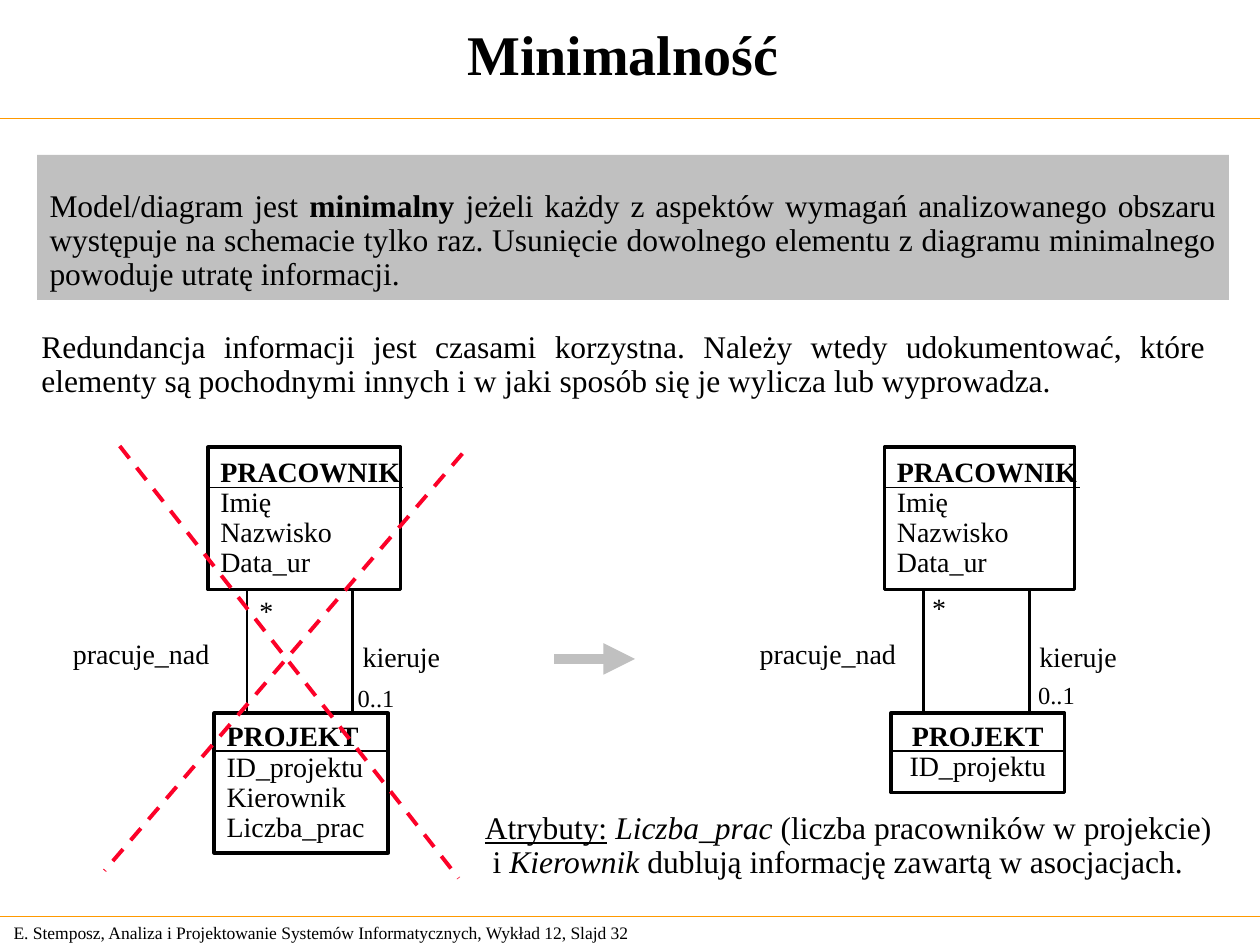
from pptx import Presentation
from pptx.dml.color import RGBColor
from pptx.enum.dml import MSO_LINE
from pptx.enum.shapes import MSO_CONNECTOR, MSO_SHAPE
from pptx.enum.text import MSO_ANCHOR as ANCHOR, PP_ALIGN as ALIGN
from pptx.oxml.ns import qn
from pptx.util import Inches, Pt
from lxml.etree import SubElement

# Grid of 100 columns by 75 rows
COLS, ROWS = 100, 75
CELL = Inches(0.1)
FONT = "Times New Roman"
BLACK = RGBColor(0x00, 0x00, 0x00)
GRAY = RGBColor(0xC0, 0xC0, 0xC0)
ORANGE = RGBColor(0xFF, 0x99, 0x00)
RED = RGBColor(0xFC, 0x01, 0x28)

FOOTER = "E. Stemposz, Analiza i Projektowanie Systemów Informatycznych, Wykład 12, Slajd 32"
DEFINITION = [[
    ("Model/diagram jest ", ""), ("minimalny ", "b"),
    ("jeżeli każdy z aspektów wymagań analizowanego obszaru występuje na "
     "schemacie tylko raz. Usunięcie dowolnego elementu z diagramu "
     "minimalnego powoduje utratę informacji.", "")]]
REDUNDANCY = ("Redundancja informacji jest czasami korzystna. Należy wtedy "
              "udokumentować, które elementy są pochodnymi innych i w jaki "
              "sposób się je wylicza lub wyprowadza.")
REMARK = [
    [("Atrybuty:", "u"), (" ", ""), ("Liczba_prac", "i"),
     (" (liczba pracowników w projekcie)", "")],
    [(" i ", ""), ("Kierownik", "i"),
     (" dublują informację zawartą w asocjacjach.", "")]]


def grid(*cells):
    return [round(c * CELL) for c in cells]


def write(sp, paragraphs, size, align=ALIGN.LEFT, spacing=None,
          anchor=ANCHOR.TOP, wrap=False):
    """Fill a shape with paragraphs, each a list of (text, style letters)."""
    tf = sp.text_frame
    tf.word_wrap = wrap
    tf.vertical_anchor = anchor
    for i, runs in enumerate(paragraphs):
        p = tf.add_paragraph() if i else tf.paragraphs[0]
        p.alignment = align
        p.line_spacing = spacing
        for text, style in runs:
            r = p.add_run()
            r.text = text
            r.font.name = FONT
            r.font.size = Pt(size)
            r.font.color.rgb = BLACK
            r.font.bold = "b" in style
            r.font.italic = "i" in style
            r.font.underline = "u" in style


def add_text(s, box, text, size, style="", **layout):
    paragraphs = [[(text, style)]] if isinstance(text, str) else text
    write(s.shapes.add_textbox(*grid(*box)), paragraphs, size, **layout)


def add_rect(s, box, fill=None, line=None):
    sp = s.shapes.add_shape(MSO_SHAPE.RECTANGLE, *grid(*box))
    sp.shadow.inherit = False
    if fill is None:
        sp.fill.background()
    else:
        sp.fill.solid()
        sp.fill.fore_color.rgb = fill
    if line is None:
        sp.line.fill.background()
    else:
        sp.line.color.rgb = line
        sp.line.width = Pt(2)
    return sp


def add_line(s, x1, y1, x2, y2, color=BLACK, width=1, dashed=False, arrow=False):
    cn = s.shapes.add_connector(MSO_CONNECTOR.STRAIGHT, *grid(x1, y1, x2, y2))
    cn.line.color.rgb = color
    cn.line.width = Pt(width)
    if dashed:
        cn.line.dash_style = MSO_LINE.DASH
    if arrow:
        SubElement(cn.line._get_or_add_ln(), qn("a:tailEnd"), type="triangle")
    SubElement(cn._element.spPr, qn("a:effectLst"))


def add_class(s, box, rule, name, attributes, align=ALIGN.LEFT):
    """A class box; rule is the (left, right, row) of the line under its name."""
    sp = add_rect(s, box, line=BLACK)
    write(sp, [[(name, "b")]] + [[(a, "")] for a in attributes], 16,
          align=align, spacing=0.9, anchor=ANCHOR.MIDDLE)
    left, right, row = rule
    add_line(s, left, row, right, row)


def add_diagram(s, x, width, project, height, works_on, star, limit,
                align=ALIGN.LEFT):
    """Two classes joined by two associations, x being the left edge."""
    add_class(s, (x, 35.5, width, 11.3), (x, x + 15.5, 38.7),
              "PRACOWNIK", ["Imię", "Nazwisko", "Data_ur"])
    add_class(s, (x + 0.5, 56.6, 13.8, height), (x + 0.5, x + 14.3, 59.6),
              "PROJEKT", project, align)
    for dx in (3.1, 11.5):
        add_line(s, x + dx, 46.9, x + dx, 56.7, width=1.5)
    add_text(s, (works_on, 50, 13.2, 3.7), "pracuje_nad", 16)
    add_text(s, (x + 11.3, 50.3, 9.5, 3.7), "kieruje", 16)
    add_text(s, (*star, 3.1, 3.7), "*", 16)
    add_text(s, (*limit, 5.2, 3.4), "0..1", 14)


def main():
    prs = Presentation()
    prs.slide_width, prs.slide_height = grid(COLS, ROWS)
    s = prs.slides.add_slide(prs.slide_layouts[6])

    # Title, footer and their rules
    for row in (9.4, 72.75):
        add_line(s, 0, row, COLS, row, ORANGE, 1)
    add_text(s, (0.1, 72.7, 60, 2.7), FOOTER, 10, anchor=ANCHOR.MIDDLE)
    add_text(s, (0.4, 0, 99.2, 8.5), "Minimalność ", 32, "b",
             align=ALIGN.CENTER, anchor=ANCHOR.MIDDLE, wrap=True)

    # Definition and comment on redundancy
    sp = add_rect(s, (2.95, 12.3, 94.6, 11.5), fill=GRAY)
    sp.text_frame.margin_top = Inches(0.28)
    write(sp, DEFINITION, 18, align=ALIGN.JUSTIFY, spacing=0.9, wrap=True)
    add_text(s, (2.3, 25.8, 94.4, 6.4), REDUNDANCY, 18,
             align=ALIGN.JUSTIFY, spacing=0.9, wrap=True)

    # Redundant diagram, crossed out, and the minimal one
    add_diagram(s, 16.5, 15.3, ["ID_projektu", "Kierownik", "Liczba_prac"],
                11.1, works_on=4.8, star=(19.6, 46.6), limit=(27.4, 53.7))
    add_diagram(s, 70.2, 15.1, ["ID_projektu"], 6.3, works_on=59.3,
                star=(73, 46.4), limit=(81.4, 53.5), align=ALIGN.CENTER)
    add_line(s, 9.5, 35.4, 36.4, 69.7, RED, 2.25, dashed=True)
    add_line(s, 36.7, 36, 8.3, 69.1, RED, 2.25, dashed=True)
    add_line(s, 44, 52.3, 50.4, 52.3, GRAY, 6, arrow=True)

    # Remark on the dropped attributes
    add_text(s, (37.5, 63.9, 62.5, 6.5), REMARK, 18, align=ALIGN.JUSTIFY,
             spacing=0.9, anchor=ANCHOR.MIDDLE)

    prs.save("out.pptx")


if __name__ == "__main__":
    main()
